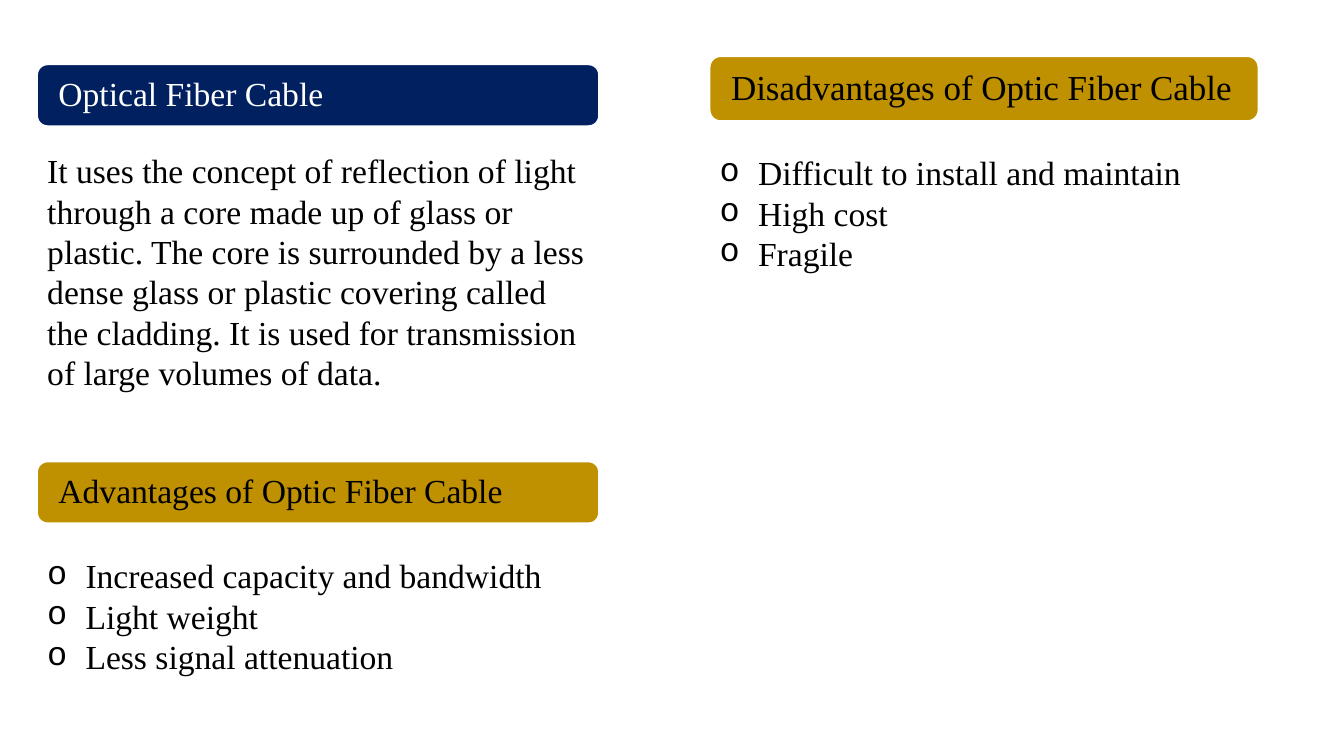
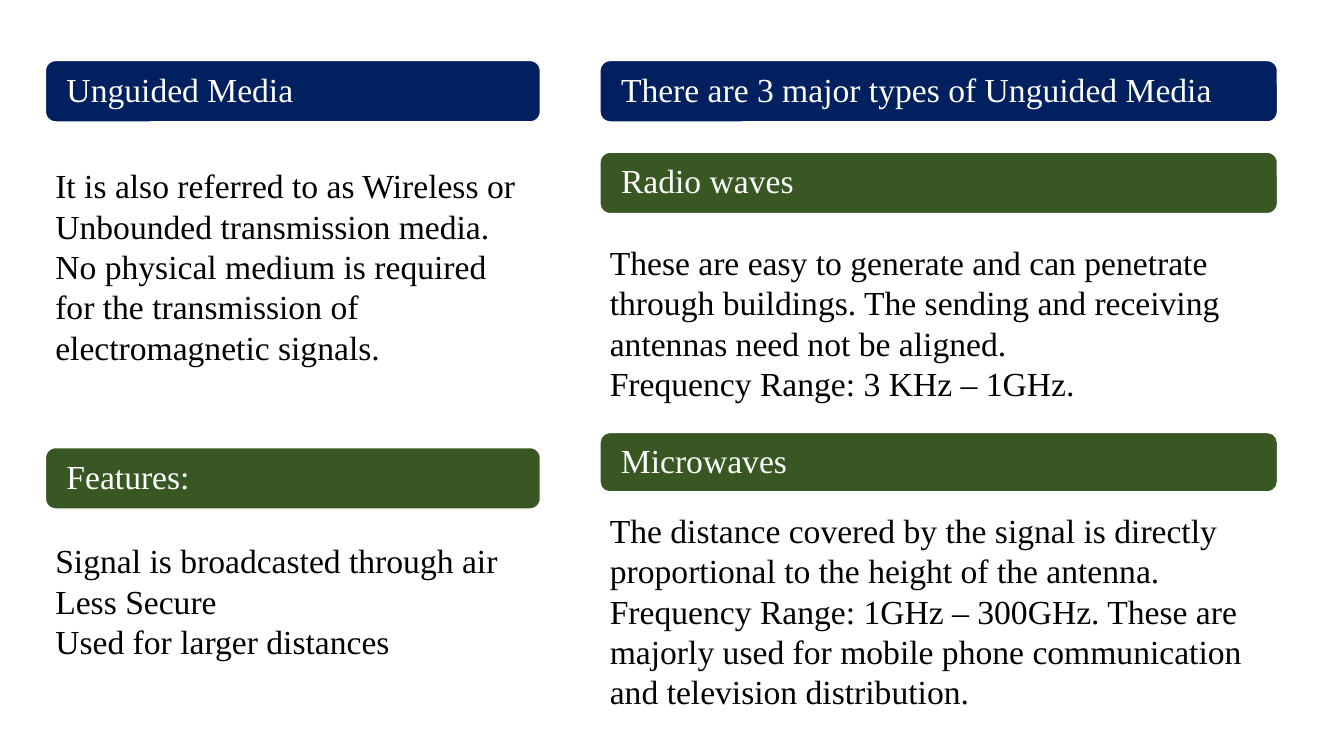
from lxml.etree import SubElement
from pptx import Presentation
from pptx.dml.color import RGBColor
from pptx.enum.shapes import MSO_SHAPE as Shape
from pptx.enum.text import MSO_ANCHOR as Anchor, MSO_AUTO_SIZE as Fit, PP_ALIGN as Align
from pptx.oxml.ns import qn
from pptx.util import Emu, Pt

WHITE = RGBColor(0xFF, 0xFF, 0xFF)
BLACK = RGBColor(0x00, 0x00, 0x00)
NAVY = RGBColor(0x00, 0x20, 0x60)
GOLD = RGBColor(0xBF, 0x90, 0x00)
GREEN = RGBColor(0x38, 0x57, 0x23)

FONT = "Times New Roman"
BULLET_FONT = "Courier New"
TEXT_SIZE = 24
BAND_HEIGHT = 61
BAND_INSET = 18
BULLET_INDENT = 38


def px(length):
    """Turn px, at 100 to the inch, into EMU."""
    return Emu(length * 9144)


def add_bullet(para):
    properties = para._p.get_or_add_pPr()
    properties.set("marL", str(px(BULLET_INDENT)))
    properties.set("indent", str(-px(BULLET_INDENT)))
    SubElement(properties, qn("a:buFont")).set("typeface", BULLET_FONT)
    SubElement(properties, qn("a:buChar")).set("char", "o")


def write(frame, *lines, color=BLACK, size=TEXT_SIZE, bulleted=False, spacing=None):
    """Write each line as one paragraph of the frame."""
    frame.word_wrap = True
    for index, line in enumerate(lines):
        para = frame.paragraphs[0] if index == 0 else frame.add_paragraph()
        para.alignment = Align.LEFT
        if spacing:
            para.line_spacing = spacing
        if bulleted:
            add_bullet(para)
        span = para.add_run()
        span.text = line
        span.font.name = FONT
        span.font.size = Pt(size)
        span.font.color.rgb = color


class Deck:
    def __init__(self):
        self.show = Presentation()
        self.show.slide_width = px(1333)
        self.show.slide_height = px(750)
        self.page = None

    def add_page(self):
        self.page = self.show.slides.add_slide(self.show.slide_layouts[6])

    def band(self, text, left, top, width, fill, height=BAND_HEIGHT, size=TEXT_SIZE):
        """Rounded heading band; gold carries black text, the others white."""
        box = self.page.shapes.add_shape(
            Shape.ROUNDED_RECTANGLE, px(left), px(top), px(width), px(height))
        box.shadow.inherit = False
        box.fill.solid()
        box.fill.fore_color.rgb = fill
        box.line.color.rgb = WHITE
        box.line.width = Pt(1)
        frame = box.text_frame
        frame.vertical_anchor = Anchor.MIDDLE
        frame.margin_left = px(BAND_INSET)
        frame.margin_right = px(5)
        write(frame, text, color=BLACK if fill == GOLD else WHITE, size=size, spacing=0.9)

    def body(self, lines, left, top, width, height, bulleted=False):
        box = self.page.shapes.add_textbox(px(left), px(top), px(width), px(height))
        write(box.text_frame, *lines, bulleted=bulleted)
        box.text_frame.auto_size = Fit.SHAPE_TO_FIT_TEXT

    def save(self):
        self.show.save("out.pptx")


def add_fiber_page(deck):
    deck.add_page()

    # Left column: definition and advantages
    left, width = 37, 557
    deck.band("Optical Fiber Cable", left, 64, width, NAVY)
    deck.body(["It uses the concept of reflection of light through a core made up of "
               "glass or plastic. The core is surrounded by a less dense glass or plastic "
               "covering called the cladding. It is used for transmission of large "
               "volumes of data."], left, 144, width, 252)
    deck.band("Advantages of Optic Fiber Cable", left, 458, width, GOLD)
    deck.body(["Increased capacity and bandwidth", "Light weight",
               "Less signal attenuation"], left, 546, 667, 131, bulleted=True)

    # Right column: disadvantages
    left, width = 704, 544
    deck.band("Disadvantages of Optic Fiber Cable", left, 56, width, GOLD,
              height=64, size=25)
    deck.body(["Difficult to install and maintain", "High cost", "Fragile"],
              left, 146, width, 131, bulleted=True)


def add_unguided_page(deck):
    deck.add_page()

    # Left column: definition and features
    left, width = 45, 491
    deck.band("Unguided Media", left, 60, width, NAVY)
    deck.body(["It is also referred to as Wireless or Unbounded transmission media. "
               "No physical medium is required for the transmission of "
               "electromagnetic signals."], left, 159, width, 212)
    deck.band("Features:", left, 444, width, GREEN)
    deck.body(["Signal is broadcasted through air", "Less Secure",
               "Used for larger distances"], left, 531, width, 131)

    # Right column: types
    left, width = 595, 672
    deck.band("There are 3 major types of Unguided Media", left, 60, width, NAVY)
    deck.band("Radio waves", left, 151, width, GREEN)
    deck.body(["These are easy to generate and can penetrate through buildings. The "
               "sending and receiving antennas need not be aligned.",
               "Frequency Range: 3 KHz – 1GHz."], left, 235, width, 172)
    deck.band("Microwaves", left, 429, width, GREEN, height=59)
    deck.body(["The distance covered by the signal is directly proportional to the "
               "height of the antenna. Frequency Range: 1GHz – 300GHz. These are majorly "
               "used for mobile phone communication and television distribution."],
              left, 501, width, 212)


def main():
    deck = Deck()
    add_fiber_page(deck)
    add_unguided_page(deck)
    deck.save()


if __name__ == "__main__":
    main()
